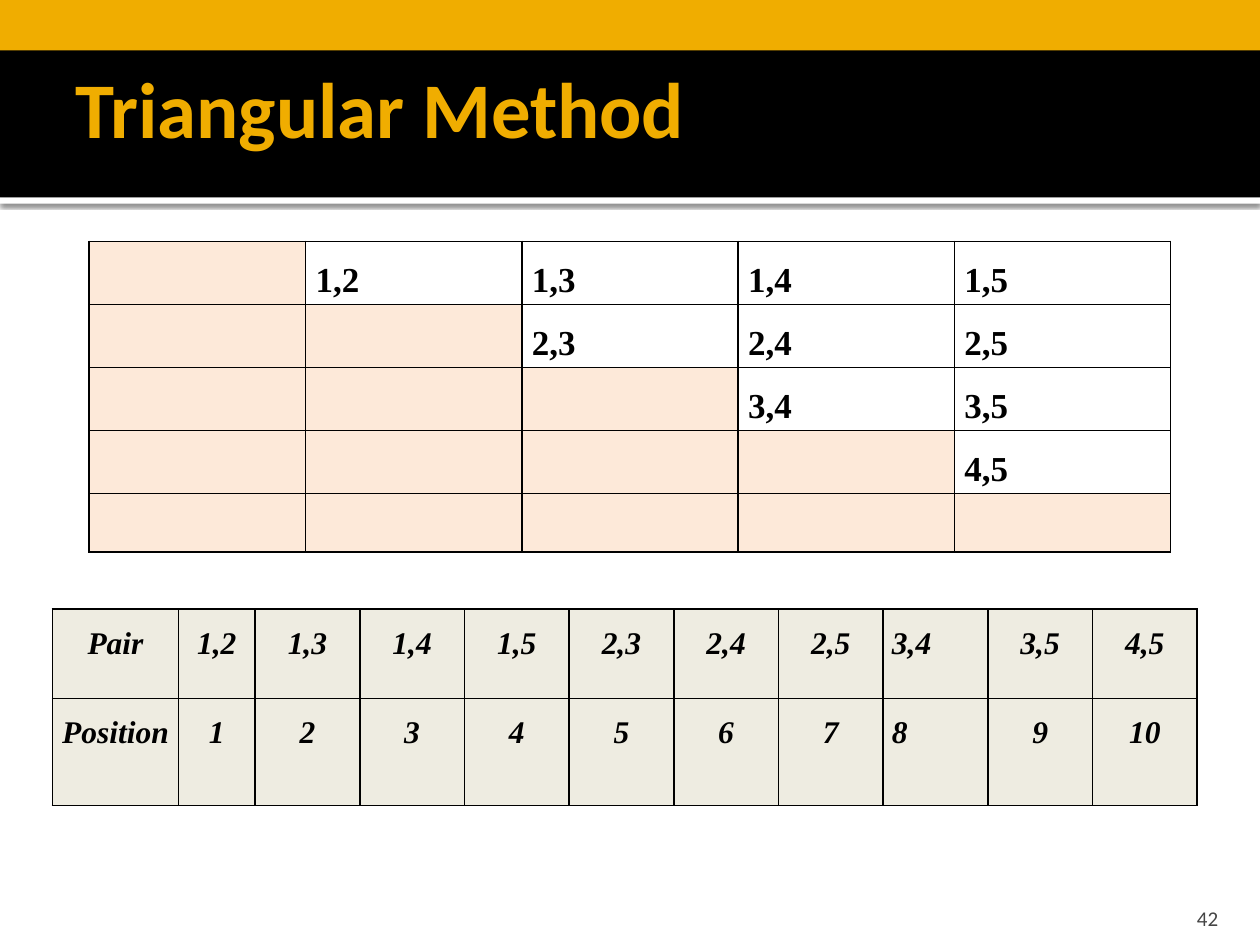
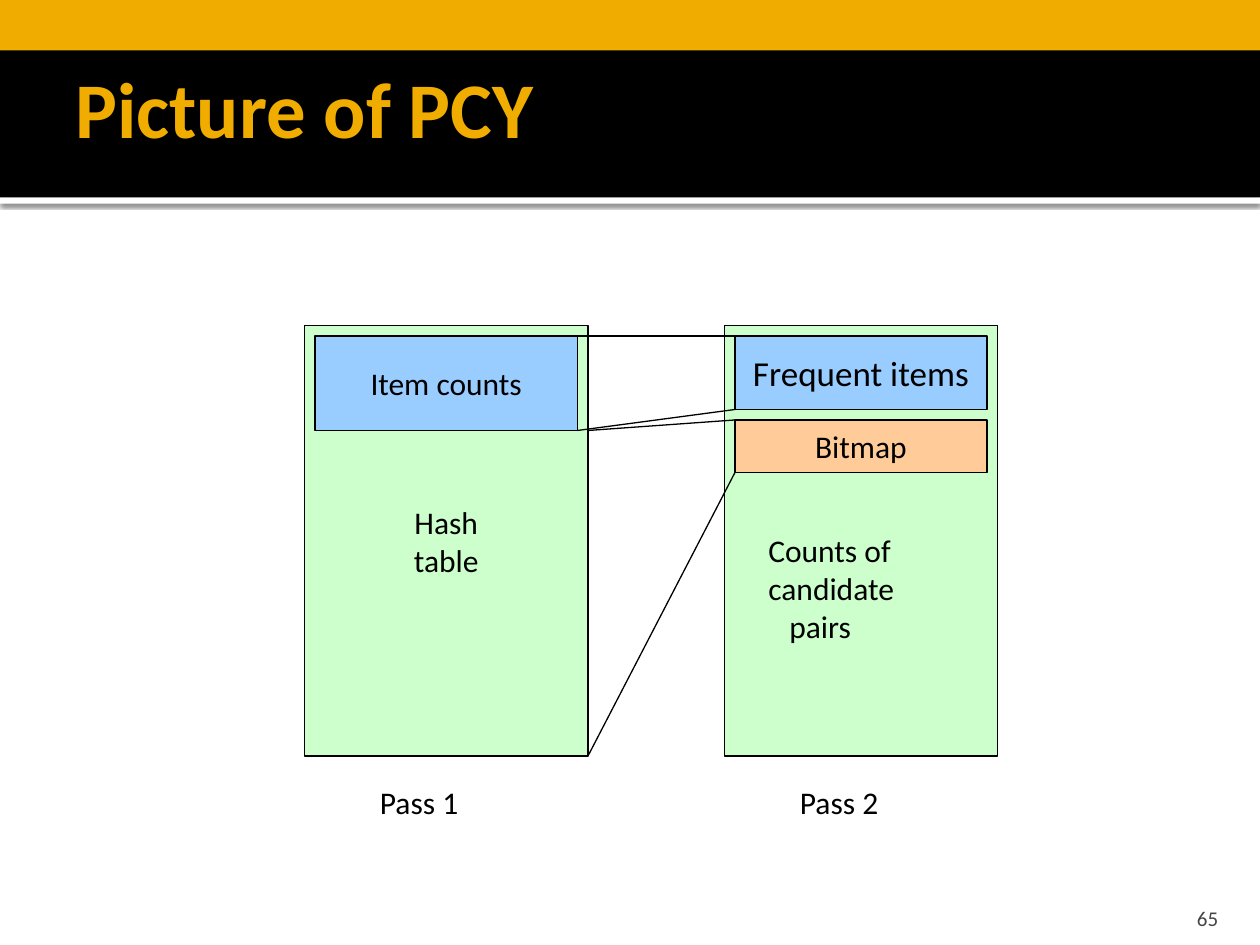
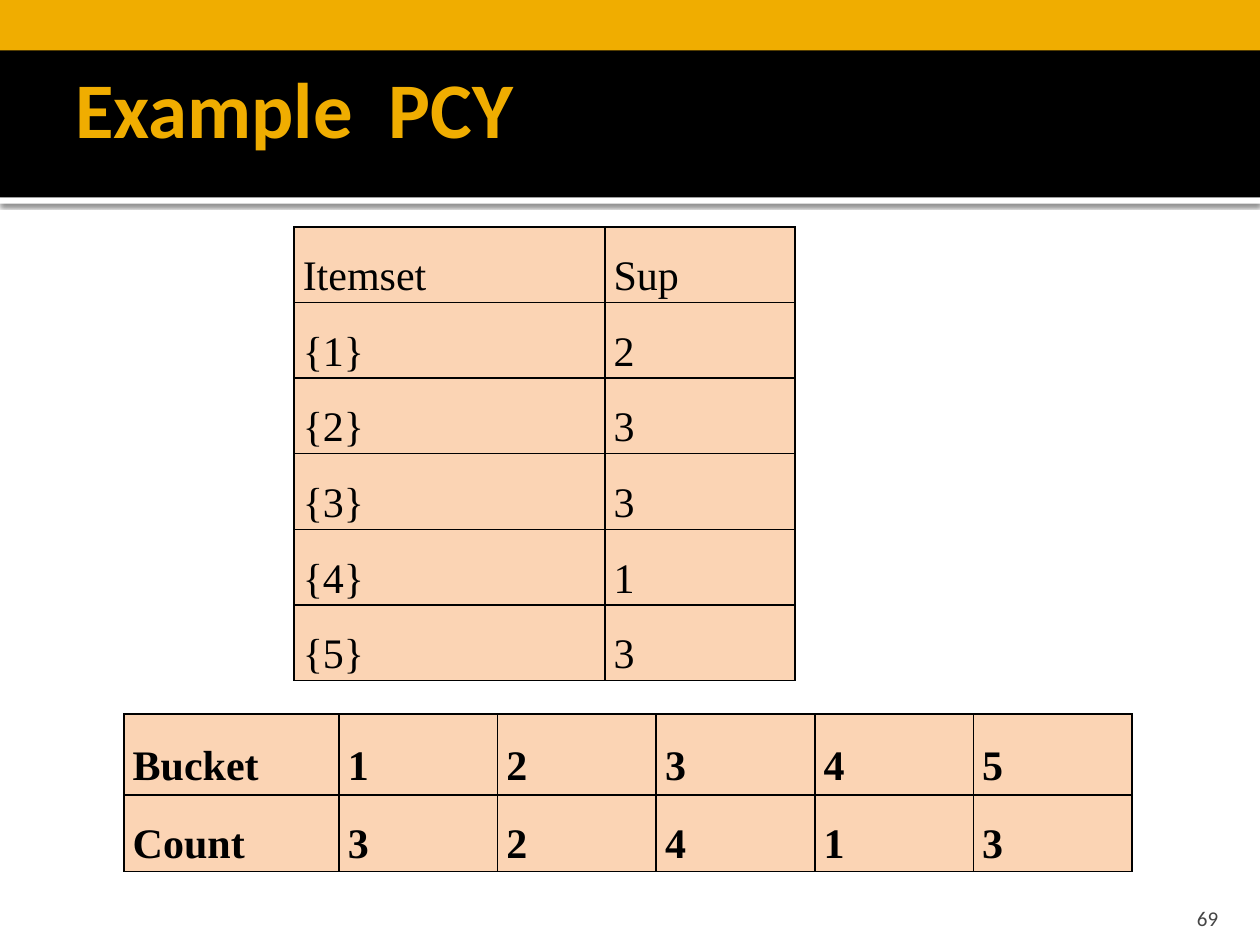
from itertools import combinations

from lxml.etree import SubElement
from pptx import Presentation
from pptx.dml.color import RGBColor
from pptx.enum.shapes import MSO_CONNECTOR, MSO_SHAPE
from pptx.enum.text import MSO_ANCHOR, MSO_AUTO_SIZE, PP_ALIGN
from pptx.oxml import parse_xml
from pptx.oxml.ns import nsdecls, qn
from pptx.util import Inches, Pt

INK = {
    "gold": "F0AD00", "black": "000000", "white": "FFFFFF", "grey": "454545",
    "green": "CCFFCC", "blue": "99CCFF", "orange": "FFCC99",
    "blush": "FDE9D9", "stone": "EEECE1", "peach": "FBD4B4",
}
SANS, SERIF = "Calibri", "Times New Roman"
COLS, ROWS = 120, 90
UNIT = Inches(10) / COLS


def grid(*cells):
    """Turn grid cells into slide lengths."""
    return [round(cell * UNIT) for cell in cells]


def tint(name):
    """Return a named colour."""
    return RGBColor.from_string(INK[name])


def style(para, size, face=SANS, ink="black", bold=False, slant=False, align=PP_ALIGN.LEFT):
    """Format one paragraph."""
    para.alignment = align
    font = para.font
    font.size, font.name, font.bold, font.italic = Pt(size), face, bold, slant
    font.color.rgb = tint(ink)


def write(frame, text, size, **look):
    """Fill a frame with one paragraph per line of text."""
    frame.text = text
    for para in frame.paragraphs:
        style(para, size, **look)


def block(slide, spot, fill, edge=True, text="", size=18):
    """Draw a filled rectangle, with a thin edge and centred text if wanted."""
    shape = slide.shapes.add_shape(MSO_SHAPE.RECTANGLE, *grid(*spot))
    shape.shadow.inherit = False
    shape.fill.solid()
    shape.fill.fore_color.rgb = tint(fill)
    if edge:
        shape.line.color.rgb = tint("black")
        shape.line.width = Pt(0.75)
    else:
        shape.line.fill.background()
    if text:
        frame = shape.text_frame
        frame.word_wrap = False
        frame.vertical_anchor = MSO_ANCHOR.MIDDLE
        write(frame, text, size, align=PP_ALIGN.CENTER)
    return shape


def label(slide, spot, text, size=18, **look):
    """Place plain text and return its frame."""
    frame = slide.shapes.add_textbox(*grid(*spot)).text_frame
    frame.word_wrap = True
    write(frame, text, size, **look)
    return frame


def link(slide, start, end):
    """Draw a thin straight line."""
    line = slide.shapes.add_connector(MSO_CONNECTOR.STRAIGHT, *grid(*start, *end))
    line.line.color.rgb = tint("black")
    line.line.width = Pt(0.75)
    SubElement(line._element.spPr, qn("a:effectLst"))


def shade(shape):
    """Cast a soft shadow below a shape."""
    glow = shape._element.spPr.find(qn("a:effectLst"))
    glow.append(parse_xml(
        f'<a:outerShdw {nsdecls("a")} blurRad="{Pt(2.5)}" dist="{Pt(0.8)}" dir="5400000">'
        f'<a:srgbClr val="{INK["black"]}"><a:alpha val="60000"/></a:srgbClr></a:outerShdw>'))


def bands(slide, layout):
    """Draw the shared head bands and hand them to the layout."""
    rim = block(slide, (0, 18.8, COLS, 0.6), "white", edge=False)
    shade(rim)
    head = block(slide, (0, 0, COLS, 18.8), "black", edge=False)
    top = block(slide, (0, 0, COLS, 4.8), "gold", edge=False)
    for shape in (rim, head, top):
        layout.shapes._spTree.append(shape._element)


def page(deck, layout, title, number):
    """Add a slide with its title and number."""
    slide = deck.slides.add_slide(layout)
    head = slide.shapes.title
    head.left, head.top, head.width, head.height = grid(6, 2, 108, 16.4)
    frame = head.text_frame
    frame.auto_size = MSO_AUTO_SIZE.NONE
    frame.vertical_anchor = MSO_ANCHOR.MIDDLE
    frame.margin_right = Inches(0.05)
    write(frame, title, 45, ink="gold", bold=True)
    foot = label(slide, (107.6, 85, 9.6, 3.6), str(number), 12,
                 ink="grey", align=PP_ALIGN.RIGHT)
    foot.vertical_anchor = MSO_ANCHOR.BOTTOM
    foot.margin_bottom = 0
    return slide


def frame_cell(cell):
    """Give a cell black borders."""
    props = cell._tc.get_or_add_tcPr()
    for spot, side in enumerate("LRTB"):
        props.insert(spot, parse_xml(
            f'<a:ln{side} {nsdecls("a")} w="{Pt(1)}"><a:solidFill>'
            f'<a:srgbClr val="{INK["black"]}"/></a:solidFill></a:ln{side}>'))


def table(slide, spot, wides, highs, data, size, fill, blank=None,
          anchor=MSO_ANCHOR.TOP, side=0.07, **look):
    """Draw a ruled table; empty cells may take their own fill."""
    area = grid(*spot, sum(wides), sum(highs))
    grille = slide.shapes.add_table(len(highs), len(wides), *area).table
    grille.first_row = grille.horz_banding = False
    for col, wide in zip(grille.columns, grid(*wides)):
        col.width = wide
    for row, high, texts in zip(grille.rows, grid(*highs), data):
        row.height = high
        for cell, text in zip(row.cells, texts):
            cell.margin_left = cell.margin_right = Inches(side)
            cell.margin_top = cell.margin_bottom = 0
            cell.vertical_anchor = anchor
            cell.fill.solid()
            cell.fill.fore_color.rgb = tint(fill if text or not blank else blank)
            frame_cell(cell)
            write(cell.text_frame, text, size, face=SERIF, **look)
            if text:
                cell.text_frame.paragraphs[0].line_spacing = 1.5
    return grille


def method(slide):
    """Show the triangle of pairs and their positions."""
    span = range(1, 6)
    pairs = [f"{a},{b}" for a, b in combinations(span, 2)]
    steps = [[f"{a},{b}" if a < b else "" for b in span] for a in span]
    table(slide, (8.5, 23), [20.6] * 5, [5.56] * 5, steps, 20, "white", "blush",
          side=0.08, bold=True, align=PP_ALIGN.JUSTIFY)
    places = [str(spot) for spot in range(1, len(pairs) + 1)]
    order = table(slide, (5, 58), [12, 7.3] + [9.97] * 9, [8.5, 10.2],
                  [["Pair", *pairs], ["Position", *places]], 18, "stone",
                  bold=True, slant=True, align=PP_ALIGN.CENTER)
    for row in order.rows:
        row.cells[8].text_frame.paragraphs[0].alignment = PP_ALIGN.LEFT


def memory(slide):
    """Show how memory is used in the two passes."""
    block(slide, (29, 31, 27, 41), "green", text="Hash\ntable")
    block(slide, (69, 31, 26, 41), "green")
    block(slide, (30, 32, 25, 9), "blue", text="Item counts")
    block(slide, (70, 40, 24, 5), "orange", text="Bitmap")
    block(slide, (70, 32, 24, 7), "blue", text="Frequent items", size=20)
    for turn, left in enumerate((35, 75), 1):
        label(slide, (left, 74, 14, 6), f"Pass {turn}")
    counts = label(slide, (72, 50, 19.4, 15.6), "Counts of\ncandidate\npairs")
    counts.paragraphs[-1]._p.get_or_add_pPr().set("marL", str(Pt(12)))
    for start, end in (((55, 32), (70, 32)), ((55, 41), (70, 39)),
                       ((56, 41), (70, 40)), ((56, 72), (70, 45))):
        link(slide, start, end)


def sample(slide):
    """Show item supports and bucket counts."""
    look = {"anchor": MSO_ANCHOR.MIDDLE, "align": PP_ALIGN.JUSTIFY}
    sups = [[f"{{{item}}}", sup] for item, sup in enumerate("23313", 1)]
    table(slide, (28, 21.6), [29.6, 18.1], [6.64] * 6,
          [["Itemset", "Sup"], *sups], 24, "peach", **look)
    table(slide, (11.8, 68), [20.5] + [15.1] * 5, [7.7, 7.3],
          [["Bucket", *"12345"], ["Count", *"32413"]], 24, "peach", bold=True, **look)


def main():
    """Build and save the deck."""
    deck = Presentation()
    deck.slide_width, deck.slide_height = grid(COLS, ROWS)
    layout = deck.slide_layouts[5]
    pages = (("Triangular Method", 42, method), ("Picture of PCY", 65, memory),
             ("Example  PCY", 69, sample))
    for title, number, draw in pages:
        draw(page(deck, layout, title, number))
    bands(deck.slides[0], layout)
    deck.save("out.pptx")


if __name__ == "__main__":
    main()
